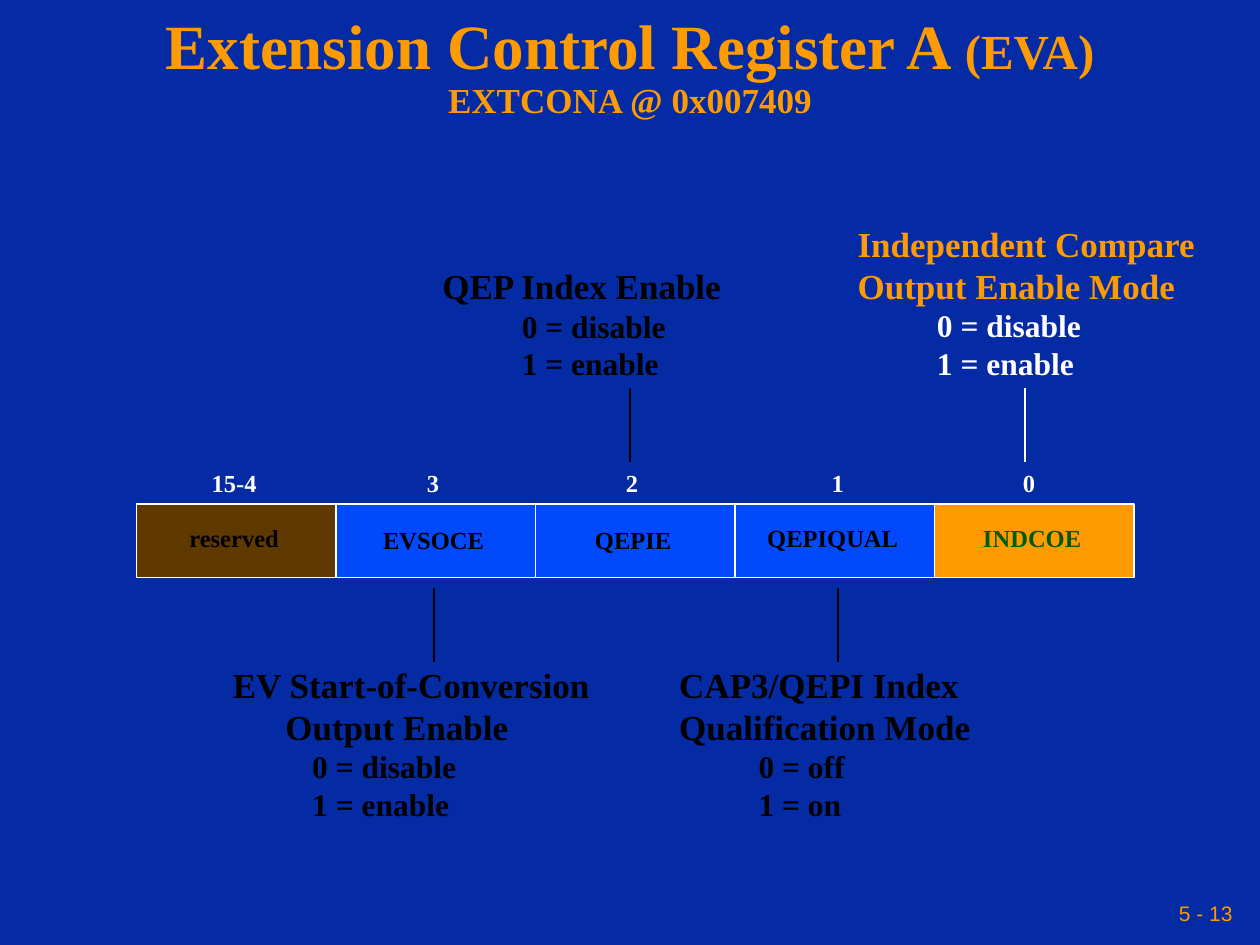
from collections import namedtuple
from dataclasses import dataclass

from lxml.etree import SubElement
from pptx import Presentation
from pptx.dml.color import RGBColor
from pptx.enum.shapes import MSO_CONNECTOR as Connector, MSO_SHAPE as Shape
from pptx.enum.text import MSO_ANCHOR as Anchor, MSO_AUTO_SIZE as AutoSize, PP_ALIGN as Align
from pptx.oxml.ns import qn
from pptx.util import Inches, Pt


@dataclass(frozen=True)
class Theme:
    serif: str = "Times New Roman"
    sans: str = "Arial"
    page: str = "042AA4"
    accent: str = "FE9B03"
    field: str = "0249FC"
    reserved: str = "603900"
    green: str = "005C00"
    white: str = "FFFFFF"
    black: str = "000000"
    title: int = 36
    module: int = 28
    heading: int = 20
    value: int = 18
    label: int = 14
    number: int = 12


THEME = Theme()

# The page is a grid of 120 columns by 90 rows, twelve to the inch
COLUMNS, ROWS = 120, 90
Box = namedtuple("Box", "left top width height")
Field = namedtuple("Field", "bits bits_width shift name name_width name_top fill color")
Callout = namedtuple("Callout", "box lead_x lead_top heading values heading_color value_color")

FIELDS = [
    Field("15-4", 6.8, -0.2, "reserved", 11.2, 1.75, THEME.reserved, THEME.black),
    Field("3", 3.6, -0.25, "EVSOCE", 12.3, 1.95, THEME.field, THEME.black),
    Field("2", 3.6, -0.3, "QEPIE", 10.2, 1.95, THEME.field, THEME.black),
    Field("1", 3.6, 0.3, "QEPIQUAL", 15.2, 1.75, THEME.field, THEME.black),
    Field("0", 3.6, -0.5, "INDCOE", 12.1, 1.75, THEME.accent, THEME.green),
]

ABOVE, BELOW, LEAD = 37, 56, 7
CALLOUTS = [
    Callout(Box(80.5, 20.6, 34.6, 16.3), 97.65, ABOVE,
            ["Independent Compare", "Output Enable Mode"],
            ["0 = disable", "1 = enable"], THEME.accent, THEME.white),
    Callout(Box(40.95, 24.6, 29.2, 12.4), 60, ABOVE, ["QEP Index Enable"],
            ["0 = disable", "1 = enable"], THEME.black, THEME.black),
    Callout(Box(63.5, 62.6, 30.1, 16.3), 79.8, BELOW,
            ["CAP3/QEPI Index", "Qualification Mode"],
            ["0 = off", "1 = on"], THEME.black, THEME.black),
    Callout(Box(21, 62.6, 36.5, 16.3), 41.35, BELOW,
            ["EV Start-of-Conversion", "Output Enable"],
            ["0 = disable", "1 = enable"], THEME.black, THEME.black),
]
INDENTED = {"EV Start-of-Conversion": 5}


def grid(*units):
    return [Inches(unit / 12) for unit in units]


def style(span, size, color, face=THEME.serif, bold=True):
    font = span.font
    font.name, font.size, font.bold = face, Pt(size), bold
    font.color.rgb = RGBColor.from_string(color)


def add_text(shapes, box, wrap=True):
    frame = shapes.add_textbox(*grid(*box)).text_frame
    frame.word_wrap = wrap
    return frame


def add_label(shapes, box, text, color):
    frame = add_text(shapes, box, wrap=False)
    frame.auto_size = AutoSize.SHAPE_TO_FIT_TEXT
    frame.text = text
    para = frame.paragraphs[0]
    para.alignment, para.line_spacing = Align.CENTER, 0.8
    style(para.runs[0], THEME.label, color)


def add_title(page, box):
    frame = add_text(page.shapes, box)
    frame.vertical_anchor = Anchor.MIDDLE
    para = frame.paragraphs[0]
    para.alignment, para.line_spacing = Align.CENTER, 0.9
    para.text = "Extension Control Register A "
    module = para.add_run()
    module.text = "(EVA)"
    para.add_line_break()
    para.add_run().text = "EXTCONA @ 0x007409"
    for span, size in zip(para.runs, (THEME.title, THEME.module, THEME.heading)):
        style(span, size, THEME.accent)


def add_register(page, box):
    width = box.width / len(FIELDS)
    for index, field in enumerate(FIELDS):
        left = box.left + index * width
        middle = left + width / 2
        # Cell with its field name
        cell = page.shapes.add_shape(
            Shape.RECTANGLE, *grid(left, box.top, width, box.height))
        cell.shadow.inherit = False
        cell.fill.solid()
        cell.fill.fore_color.rgb = RGBColor.from_string(field.fill)
        cell.line.color.rgb = RGBColor.from_string(THEME.white)
        cell.line.width = Pt(1)
        name_left = middle - 0.2 - field.name_width / 2
        add_label(page.shapes, Box(name_left, box.top + field.name_top, field.name_width, 3.5),
                  field.name, field.color)
        # Bit numbers above the cell
        bits_left = middle + field.shift - field.bits_width / 2
        add_label(page.shapes, Box(bits_left, box.top - 3.45, field.bits_width, 3.5),
                  field.bits, THEME.white)


def add_callout(page, callout):
    # Heading and tabbed values
    frame = add_text(page.shapes, callout.box)
    frame.auto_size = AutoSize.SHAPE_TO_FIT_TEXT
    frame.text = "\n".join(callout.heading + ["\t" + value for value in callout.values])
    for index, para in enumerate(frame.paragraphs):
        is_heading = index < len(callout.heading)
        properties = para._p.get_or_add_pPr()
        if not is_heading:
            tabs = SubElement(properties, qn("a:tabLst"))
            SubElement(tabs, qn("a:tab"), pos=str(Inches(0.63)), algn="l")
        elif index:
            indent = grid(INDENTED.get(callout.heading[0], 0))[0]
            properties.set("marL", str(indent))
            properties.set("indent", "0")
        for span in para.runs:
            if is_heading:
                style(span, THEME.heading, callout.heading_color)
            else:
                style(span, THEME.value, callout.value_color)
    # Lead line towards the register
    top = callout.lead_top
    lead = page.shapes.add_connector(
        Connector.STRAIGHT, *grid(callout.lead_x, top, callout.lead_x, top + LEAD))
    lead.line.color.rgb = RGBColor.from_string(callout.value_color)
    lead.line.width = Pt(1)
    SubElement(lead._element.spPr, qn("a:effectLst"))


def add_page_number(page, box):
    frame = add_text(page.shapes, box, wrap=False)
    frame.vertical_anchor = Anchor.MIDDLE
    frame.margin_left = frame.margin_right = Inches(0.05)
    frame.text = "5 - 13"
    para = frame.paragraphs[0]
    para.alignment = Align.RIGHT
    style(para.runs[0], THEME.number, THEME.accent, THEME.sans, bold=False)


def main():
    deck = Presentation()
    deck.slide_width, deck.slide_height = grid(COLUMNS, ROWS)
    page = deck.slides.add_slide(deck.slide_layouts[6])
    page.background.fill.solid()
    page.background.fill.fore_color.rgb = RGBColor.from_string(THEME.page)

    add_page_number(page, Box(82, 85, 36, 4))
    add_title(page, Box(9, 3, 102, 7))
    add_register(page, Box(13, 48, 95, 7))
    for callout in CALLOUTS:
        add_callout(page, callout)
    deck.save("out.pptx")


if __name__ == "__main__":
    main()
